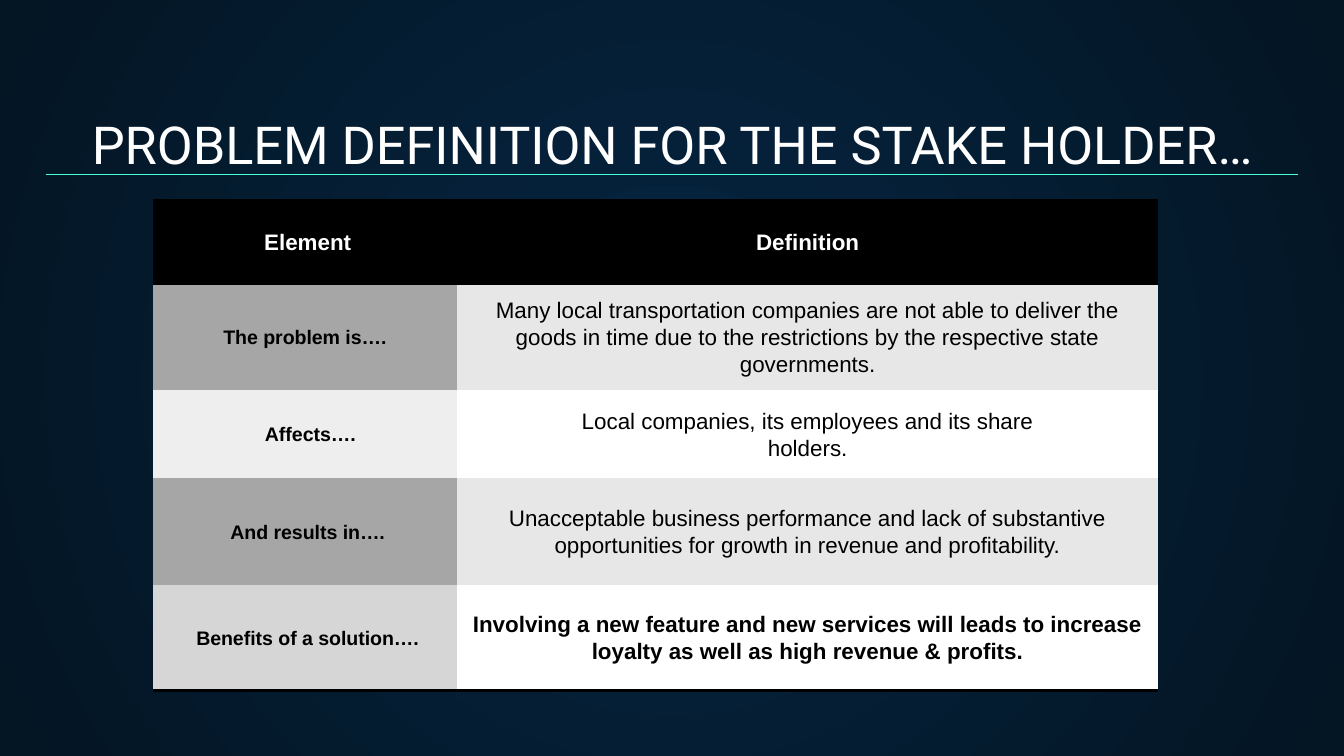
"""Build the problem definition slide: a title, a rule and a table of elements."""
from lxml.etree import SubElement
from pptx import Presentation
from pptx.dml.color import RGBColor
from pptx.enum.shapes import MSO_CONNECTOR
from pptx.enum.text import MSO_ANCHOR, MSO_AUTO_SIZE, PP_ALIGN
from pptx.oxml import parse_xml
from pptx.oxml.ns import nsdecls, qn
from pptx.util import Inches, Pt

TITLE = "PROBLEM DEFINITION FOR THE STAKE HOLDER…"
HEADER = ("Element", "Definition")
ROWS = [
    ("The problem is….", "Many local transportation companies are not able to deliver the goods "
     "in time due to the restrictions by the respective state governments."),
    ("Affects….", "Local companies, its employees and its share\nholders."),
    ("And results in….", "Unacceptable business performance and lack of substantive "
     "opportunities for growth in revenue and profitability."),
    ("Benefits of a solution….", "Involving a new feature and new services will leads to increase "
     "loyalty as well as high revenue & profits."),
]
COLORS = {
    "center": "052643", "edge": "041523", "rule": "48FFD5", "white": "FFFFFF", "black": "000000",
    "dark": "A6A6A6", "pale": "EEEEEE", "middle": "D6D6D6", "band": "E7E7E7",
}
ROW_FILLS = [("dark", "band"), ("pale", "white"), ("dark", "band"), ("middle", "white")]
WIDTH = 10
HEIGHT = WIDTH * 9 / 16
RULE_MARGIN, RULE_TOP = 0.34, 1.3
TABLE_LEFT, TABLE_TOP = 1.14, 1.49
COLUMN_WIDTHS = (2.26, 5.22)
ROW_HEIGHTS = (0.62, 0.79, 0.66, 0.79, 0.79)
ELEMENT_INDENTS = (0.04, 0, 0.08, 0.04, 0.04)
CELL_MARGIN = 0.05
NO_GRID_STYLE = "{2D5ABB26-0587-4C30-8999-92F81FD0307C}"


def rgb(name):
    return RGBColor.from_string(COLORS[name])


def write(frame, text, size, color="black", font="Arial", bold=False, spacing=None):
    frame.word_wrap = True
    frame.text = text
    for para in frame.paragraphs:
        para.alignment = PP_ALIGN.CENTER
        para.line_spacing = spacing
        for span in para.runs:
            span.font.name = font
            span.font.size = Pt(size)
            span.font.bold = bold
            span.font.color.rgb = rgb(color)


def paint_background(page):
    fill = page.background.fill
    fill.gradient()
    for stop, name in zip(fill.gradient_stops, ("center", "edge")):
        stop.color.rgb = rgb(name)
    gradient = page.element.find(".//" + qn("a:gradFill"))
    gradient.remove(gradient.find(qn("a:lin")))
    circle = SubElement(gradient, qn("a:path"), path="circle")
    SubElement(circle, qn("a:fillToRect"), l="50000", t="50000", r="50000", b="50000")


def add_title(page):
    title = page.shapes.title
    title.left, title.top = Inches(0.2), Inches(0.74)
    title.width, title.height = Inches(WIDTH - 0.4), Inches(0.66)
    frame = title.text_frame
    frame.auto_size = MSO_AUTO_SIZE.NONE
    frame.vertical_anchor = MSO_ANCHOR.BOTTOM
    frame.margin_left = frame.margin_right = Inches(0.1)
    frame.margin_top = frame.margin_bottom = Inches(0.1)
    write(frame, TITLE, 28, color="white", font="Roboto")


def add_rule(page):
    rule = page.shapes.add_connector(
        MSO_CONNECTOR.STRAIGHT, Inches(RULE_MARGIN), Inches(RULE_TOP),
        Inches(WIDTH - RULE_MARGIN), Inches(RULE_TOP))
    rule.line.color.rgb = rgb("rule")
    rule.line.width = Pt(0.75)
    SubElement(rule.element.spPr, qn("a:effectLst"))


def add_border(cell, sides):
    for index, side in enumerate(sides):
        line = parse_xml(
            f'<a:ln{side} {nsdecls("a")} w="{Pt(2)}"><a:solidFill>'
            f'<a:srgbClr val="{COLORS["black"]}"/></a:solidFill></a:ln{side}>')
        cell._tc.get_or_add_tcPr().insert(index, line)


def add_definitions(page):
    frame = page.shapes.add_table(
        len(ROWS) + 1, len(HEADER), Inches(TABLE_LEFT), Inches(TABLE_TOP),
        Inches(sum(COLUMN_WIDTHS)), Inches(sum(ROW_HEIGHTS)))
    table = frame.table
    table._tbl.tblPr.find(qn("a:tableStyleId")).text = NO_GRID_STYLE
    for column, width in zip(table.columns, COLUMN_WIDTHS):
        column.width = Inches(width)
    for row, height in zip(table.rows, ROW_HEIGHTS):
        row.height = Inches(height)
    fills = [("black", "black")] + ROW_FILLS
    last = len(ROWS)
    for i, texts in enumerate([HEADER] + ROWS):
        for j, text in enumerate(texts):
            cell = table.cell(i, j)
            indent = 0 if j else ELEMENT_INDENTS[i]
            cell.vertical_anchor = MSO_ANCHOR.MIDDLE
            cell.margin_left = Inches(CELL_MARGIN + indent)
            cell.margin_right = Inches(CELL_MARGIN)
            cell.margin_top = cell.margin_bottom = Inches(CELL_MARGIN)
            cell.fill.solid()
            cell.fill.fore_color.rgb = rgb(fills[i][j])
            write(cell.text_frame, text, 10.5 if i and j == 0 else 12,
                  color="black" if i else "white",
                  bold=j == 0 or i in (0, last), spacing=1.07)
            if i in (0, last):
                add_border(cell, "B" if i else "TB")


def main():
    deck = Presentation()
    deck.slide_width, deck.slide_height = Inches(WIDTH), Inches(HEIGHT)
    page = deck.slides.add_slide(deck.slide_layouts[5])
    paint_background(page)
    add_title(page)
    add_rule(page)
    add_definitions(page)
    deck.save("out.pptx")


if __name__ == "__main__":
    main()
